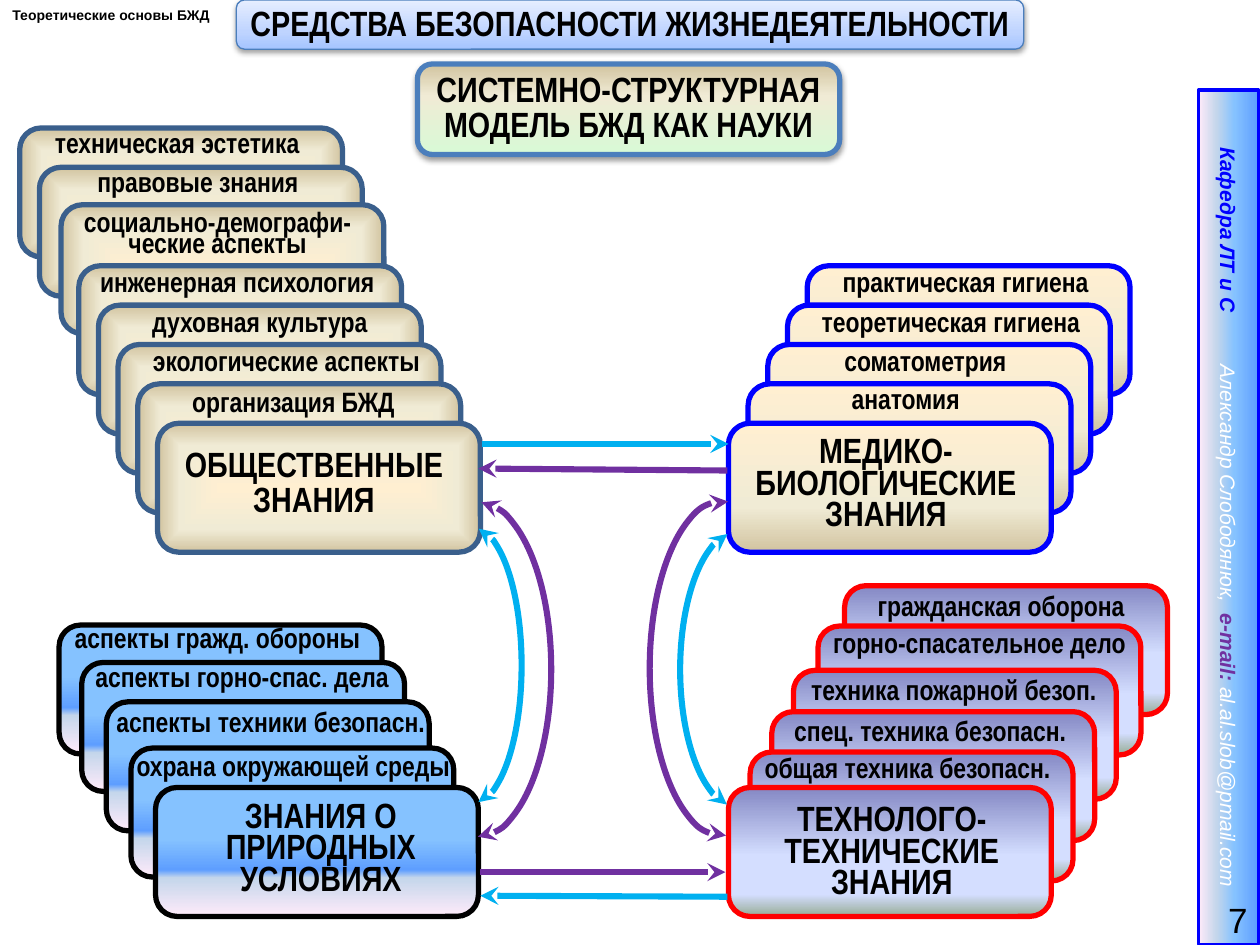
from lxml.etree import SubElement
from pptx import Presentation
from pptx.dml.color import RGBColor
from pptx.enum.shapes import MSO_CONNECTOR, MSO_SHAPE
from pptx.enum.text import MSO_ANCHOR, PP_ALIGN
from pptx.oxml import parse_xml
from pptx.oxml.ns import nsdecls, qn
from pptx.util import Inches, Pt

COLUMNS = 64
UNIT = Inches(10) / COLUMNS
CARD_WIDTH, CARD_HEIGHT = 16.4, 6.55
NARROW = "Arial Narrow"
COLORS = {
    "black": "000000", "white": "FFFFFF", "blue": "0000FF", "red": "FF0000",
    "steel": "3A5F8C", "frame": "4B7EBC", "cyan": "00B0F0", "purple": "7030A0",
}
SAND = [(0, "FFEFD1"), (65, "F0EBD5"), (100, "D1C39F")]
SKY = [(40, "85C2FF"), (64, "5E9EFF"), (70, "C4D6EB"), (100, "FFEBFA")]
LILAC = [(0, "8488C4"), (53, "D4DEFF"), (83, "D4DEFF"), (100, "96AB94")]
TITLE = [(0, "A4C4FF"), (35, "BFD4FF"), (100, "E6EEFF")]
MINT = [(0, "D8FAD6"), (65, "F0EBD5"), (100, "D1C39F")]
SIDEBAR = [(0, "5E9EFF"), (40, "85C2FF"), (70, "C4D6EB"), (100, "FFEBFA")]

# Each card: column, row, label centre column, label row, label
SOCIETY = [
    (1, 6.5, 9, 6.7, "техническая эстетика"),
    (2, 8.5, 10.05, 8.7, "правовые знания"),
    (3.1, 10.4, 11.05, 10.7, "социально-демографи-\nческие аспекты"),
    (4, 13.5, 12.05, 13.75, "инженерная психология"),
    (5, 15.5, 13.2, 15.8, "духовная культура"),
    (6, 17.5, 14.55, 17.8, "экологические аспекты"),
    (7, 19.5, 14.9, 19.85, "организация БЖД"),
    (8, 21.5, 15.95, 22.5, "ОБЩЕСТВЕННЫЕ\nЗНАНИЯ"),
]
NATURE = [
    (3, 31.75, 11.05, 31.85, "аспекты гражд. обороны"),
    (4.15, 33.65, 12.3, 33.85, "аспекты горно-спас. дела"),
    (5.4, 35.65, 13.75, 36.1, "аспекты техники безопасн."),
    (6.65, 38, 14.9, 38.35, "охрана окружающей среды"),
    (7.9, 40, 16.3, 40.5, "ЗНАНИЯ О\nПРИРОДНЫХ\nУСЛОВИЯХ"),
]
MEDICINE = [
    (41, 13.5, 49.05, 13.75, "практическая гигиена"),
    (40, 15.5, 48.3, 15.8, "теоретическая гигиена"),
    (39, 17.5, 47, 17.75, "соматометрия"),
    (38, 19.5, 46, 19.7, "анатомия"),
    (37, 21.5, 45, 22, "МЕДИКО-\nБИОЛОГИЧЕСКИЕ\nЗНАНИЯ"),
]
TECHNOLOGY = [
    (42.9, 29.75, 50.85, 30.2, "гражданская оборона"),
    (41.55, 31.8, 49.75, 32.1, "горно-спасательное дело"),
    (40.3, 34.05, 48.45, 34.5, "техника пожарной безоп."),
    (39.2, 36.15, 47.25, 36.55, "спец. техника безопасн."),
    (38.1, 38.2, 46.1, 38.45, "общая техника безопасн."),
    (37, 40, 45.3, 40.7, "ТЕХНОЛОГО-\nТЕХНИЧЕСКИЕ ЗНАНИЯ"),
]
ARROWS = [
    ((24.5, 22.55), (37, 22.55), "cyan"),
    ((36.95, 23.9), (24.3, 23.8), "purple"),
    ((36.95, 45.55), (24.4, 45.5), "cyan"),
    ((24.4, 44.3), (36.85, 44.3), "purple"),
]
ARCS = [
    ((21.5, 26.8, 5, 14), 0, (272.7, 87.5), "cyan"),
    ((20.5, 25.5, 7.5, 17), 0, (271.4, 89.8), "purple"),
    ((30.5, 31.05, 14, 5.9), 270, (184.8, 355.4), "cyan"),
    ((28.2, 30.25, 17, 7.4), 270, (178.8, 1.9), "purple"),
]


def grid(*lengths):
    """Turn grid units into slide lengths."""
    return [round(length * UNIT) for length in lengths]


def color(name):
    """Return a named colour."""
    return RGBColor.from_string(COLORS[name])


def set_line(shape, name, width):
    """Set the colour and width of an outline."""
    shape.line.color.rgb = color(name)
    shape.line.width = Pt(width)


def set_gradient(shape, stops, angle):
    """Fill a shape with a linear gradient, or one from its centre if angle is None."""
    marks = "".join(f'<a:gs pos="{position * 1000}"><a:srgbClr val="{value}"/></a:gs>'
                    for position, value in stops)
    direction = ('<a:path path="shape"><a:fillToRect l="50000" t="50000" r="50000" b="50000"/></a:path>'
                 if angle is None else f'<a:lin ang="{angle * 60000}" scaled="0"/>')
    shape.fill.background()
    properties = shape.element.spPr
    properties.replace(properties.find(qn("a:noFill")), parse_xml(
        f'<a:gradFill {nsdecls("a")} rotWithShape="1"><a:gsLst>{marks}</a:gsLst>{direction}</a:gradFill>'))


def add_panel(slide, kind, box, stops, angle, outline, width):
    """Add a gradient shape without a shadow."""
    shape = slide.shapes.add_shape(kind, *grid(*box))
    set_gradient(shape, stops, angle)
    set_line(shape, outline, width)
    shape.shadow.inherit = False
    return shape


def set_text(shape, text, size, spacing=None, font=NARROW, bold=True, alignment=PP_ALIGN.CENTER):
    """Write lines of text in one style."""
    frame = shape.text_frame
    frame.word_wrap = True
    frame.text = text
    for paragraph in frame.paragraphs:
        paragraph.alignment = alignment
        if spacing:
            paragraph.line_spacing = Pt(spacing)
        paragraph.font.name = font
        paragraph.font.size = Pt(size)
        paragraph.font.bold = bold
        paragraph.font.color.rgb = color("black")


def add_label(slide, center, row, text, size, spacing):
    """Add a label as wide as a card, centred on a column."""
    label = slide.shapes.add_textbox(*grid(center - CARD_WIDTH / 2, row, CARD_WIDTH, 1.75))
    label.text_frame.margin_left = label.text_frame.margin_right = 0
    set_text(label, text, size, spacing)


def add_stack(slide, cards, stops, angle, outline, front_spacing):
    """Add overlapping cards, the last one in front with a larger label."""
    for index, (column, row, center, label_row, text) in enumerate(cards, 1):
        add_panel(slide, MSO_SHAPE.ROUNDED_RECTANGLE, (column, row, CARD_WIDTH, CARD_HEIGHT),
                  stops, angle, outline, 3)
        size, spacing = (20, front_spacing) if index == len(cards) else (16, 12)
        add_label(slide, center, label_row, text, size, spacing)


def add_arrowheads(shape, *ends):
    """Put stealth arrowheads on the given ends of a line."""
    line = shape.line._get_or_add_ln()
    for end in ends:
        SubElement(line, qn(f"a:{end}"), type="stealth")


def add_arrow(slide, start, end, name):
    """Add a straight arrow."""
    arrow = slide.shapes.add_connector(MSO_CONNECTOR.STRAIGHT, *grid(*start, *end))
    set_line(arrow, name, 3.5)
    add_arrowheads(arrow, "tailEnd")
    SubElement(arrow.element.spPr, qn("a:effectLst"))


def add_arc(slide, box, rotation, angles, name):
    """Add an arc with arrowheads on both ends."""
    arc = slide.shapes.add_shape(MSO_SHAPE.ARC, *grid(*box))
    arc.rotation = rotation
    for index, angle in enumerate(angles):
        arc.adjustments[index] = angle * 0.6
    arc.fill.background()
    set_line(arc, name, 3.5)
    add_arrowheads(arc, "headEnd", "tailEnd")
    arc.shadow.inherit = False


def add_heading(slide, box, stops, width, text, spacing):
    """Add a rounded heading with a soft shadow."""
    heading = add_panel(slide, MSO_SHAPE.ROUNDED_RECTANGLE, box, stops, 270, "frame", width)
    heading.element.spPr.find(qn("a:effectLst")).append(parse_xml(
        f'<a:outerShdw {nsdecls("a")} blurRad="{Pt(3.1)}" dist="{Pt(1.6)}" dir="5400000" rotWithShape="0">'
        '<a:srgbClr val="000000"><a:alpha val="38000"/></a:srgbClr></a:outerShdw>'))
    frame = heading.text_frame
    frame.margin_left = frame.margin_right = frame.margin_top = frame.margin_bottom = Inches(0.04)
    set_text(heading, text, 20, spacing)


def add_sidebar(slide):
    """Add the vertical strip with the department and the author."""
    strip = add_panel(slide, MSO_SHAPE.RECTANGLE, (40.7, 24.75, 43.4, 3.05), SIDEBAR, 90, "blue", 2)
    strip.rotation = 90
    strip.text_frame.margin_left = grid(2.9)[0]
    paragraph = strip.text_frame.paragraphs[0]
    paragraph.alignment = PP_ALIGN.LEFT
    tabs = SubElement(paragraph._p.get_or_add_pPr(), qn("a:tabLst"))
    for position in grid(11.05, 23.7):
        SubElement(tabs, qn("a:tab"), pos=str(position), algn="l")
    paragraph.font.name = "Arial"
    paragraph.font.size = Pt(12)
    paragraph.font.italic = True
    for text, name, bold in [("Кафедра ЛТ и С\t", "blue", True), ("Александр Слободянюк,\t", "white", False),
                             ("e-mail: ", "purple", True), ("al.al.slob@pmail.com", "white", False)]:
        run = paragraph.add_run()
        run.text = text
        run.font.bold = bold
        run.font.color.rgb = color(name)


def main():
    """Build the slide and save it."""
    presentation = Presentation()
    presentation.slide_width, presentation.slide_height = Inches(10), Inches(7.5)
    slide = presentation.slides.add_slide(presentation.slide_layouts[6])
    add_stack(slide, SOCIETY, SAND, None, "steel", 20)
    add_stack(slide, NATURE, SKY, 90, "black", 18)
    add_stack(slide, MEDICINE, SAND, 90, "blue", 18)
    add_stack(slide, TECHNOLOGY, LILAC, 90, "red", 18)
    for arrow in ARROWS:
        add_arrow(slide, *arrow)
    for arc in ARCS:
        add_arc(slide, *arc)
    topic = slide.shapes.add_textbox(*grid(0, 0, 11.45, 1.55))
    set_text(topic, "Теоретические основы БЖД", 8, font="Arial", alignment=PP_ALIGN.LEFT)
    add_heading(slide, (12, 0, 40, 2.5), TITLE, 0.75, "СРЕДСТВА БЕЗОПАСНОСТИ ЖИЗНЕДЕЯТЕЛЬНОСТИ", 22)
    add_heading(slide, (21.2, 3.25, 21.45, 4.6), MINT, 3, "СИСТЕМНО-СТРУКТУРНАЯ МОДЕЛЬ БЖД КАК НАУКИ", 20)
    add_sidebar(slide)
    number = slide.shapes.add_textbox(*grid(59, 45.45, 5, 2.55))
    number.text_frame.vertical_anchor = MSO_ANCHOR.MIDDLE
    set_text(number, "7", 20, font="Arial", bold=False, alignment=PP_ALIGN.RIGHT)
    presentation.save("out.pptx")


if __name__ == "__main__":
    main()
